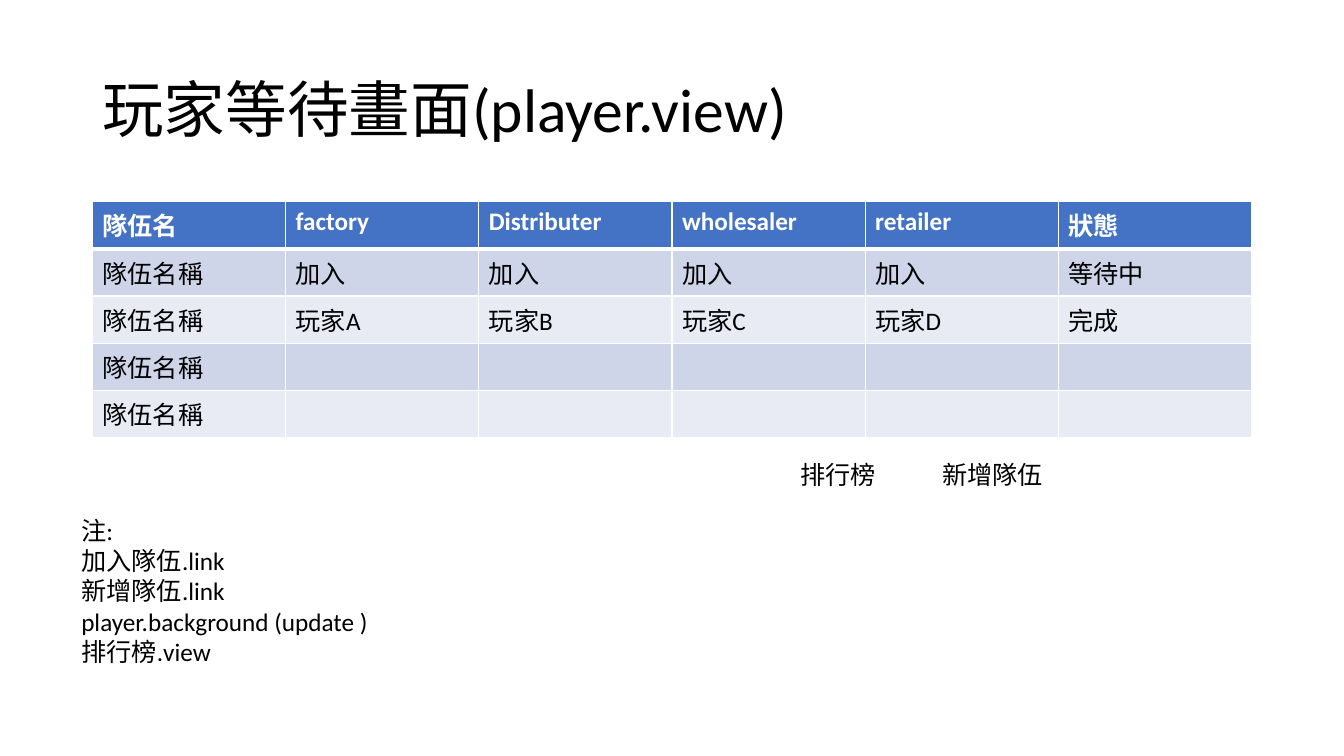
from lxml.etree import SubElement
from pptx import Presentation
from pptx.dml.color import RGBColor
from pptx.enum.text import MSO_ANCHOR
from pptx.oxml.ns import qn
from pptx.util import Pt

PX = 9525
FONT = "Calibri"
BLACK = RGBColor(0x00, 0x00, 0x00)
WHITE = RGBColor(0xFF, 0xFF, 0xFF)
BLUE = RGBColor(0x44, 0x72, 0xC4)
BAND_DARK = RGBColor(0xCF, 0xD5, 0xE9)
BAND_LIGHT = RGBColor(0xE8, 0xEB, 0xF4)

TEAMS = [
    ["隊伍名", "factory", "Distributer", "wholesaler", "retailer", "狀態"],
    ["隊伍名稱", "加入", "加入", "加入", "加入", "等待中"],
    ["隊伍名稱", "玩家A", "玩家B", "玩家C", "玩家D", "完成"],
    ["隊伍名稱"] + [""] * 5,
    ["隊伍名稱"] + [""] * 5,
]
NOTES = ["注:", "加入隊伍.link", "新增隊伍.link", "player.background (update )", "排行榜.view"]


def emu(*lengths):
    """Turn px lengths into EMU."""
    return [n * PX for n in lengths]


def write(tf, lines, size=18, color=BLACK, bold=False, spacing=None):
    """Write one paragraph per line in the given format."""
    for i, line in enumerate(lines):
        p = tf.add_paragraph() if i else tf.paragraphs[0]
        p.line_spacing = spacing
        r = p.add_run()
        r.text = line
        r.font.name, r.font.size, r.font.bold = FONT, Pt(size), bold
        r.font.color.rgb = color


def add_text(s, box, lines, anchor=MSO_ANCHOR.TOP, **fmt):
    """Place a wrapped text box and return its text frame."""
    tf = s.shapes.add_textbox(*emu(*box)).text_frame
    tf.word_wrap = True
    tf.vertical_anchor = anchor
    write(tf, lines, **fmt)
    return tf


def set_borders(cell, bottom):
    """Draw white cell borders, with the bottom width given in points."""
    tc_pr = cell._tc.get_or_add_tcPr()
    widths = {"lnL": 0.96, "lnR": 0.96, "lnT": 0.96, "lnB": bottom}
    for i, (tag, width) in enumerate(widths.items()):
        ln = tc_pr.makeelement(qn(f"a:{tag}"), {"w": str(Pt(width))})
        fill = SubElement(ln, qn("a:solidFill"))
        SubElement(fill, qn("a:srgbClr"), val=str(WHITE))
        tc_pr.insert(i, ln)


def add_teams(s, box):
    """Place the team table with a header and banded rows."""
    x, y, w, h = box
    rows, cols = len(TEAMS), len(TEAMS[0])
    table = s.shapes.add_table(rows, cols, *emu(x, y, w, h)).table
    for row in table.rows:
        row.height = h * PX // rows
    for i, texts in enumerate(TEAMS):
        header = i == 0
        for j, text in enumerate(texts):
            cell = table.cell(i, j)
            cell.fill.solid()
            cell.fill.fore_color.rgb = BLUE if header else BAND_DARK if i % 2 else BAND_LIGHT
            set_borders(cell, 3 if header else 0.96)
            if text:
                write(cell.text_frame, [text], color=WHITE if header else BLACK, bold=header)


def add_actions(s, box, tab):
    """Place the two action labels, the second at a tab stop."""
    tf = add_text(s, box, ["排行榜\t新增隊伍"])
    tabs = SubElement(tf.paragraphs[0]._p.get_or_add_pPr(), qn("a:tabLst"))
    SubElement(tabs, qn("a:tab"), pos=str(tab * PX), algn="l")


def main():
    """Build and save the player waiting slide."""
    prs = Presentation()
    prs.slide_width, prs.slide_height = emu(1280, 720)
    s = prs.slides.add_slide(prs.slide_layouts[6])
    add_text(s, (88, 38, 1104, 139), ["玩家等待畫面(player.view)"],
             anchor=MSO_ANCHOR.MIDDLE, size=44, spacing=0.9)
    add_teams(s, (88, 192, 1104, 225))
    add_actions(s, (753, 433, 465, 38), tab=135)
    add_text(s, (68, 486, 594, 182), NOTES)
    prs.save("out.pptx")


if __name__ == "__main__":
    main()
